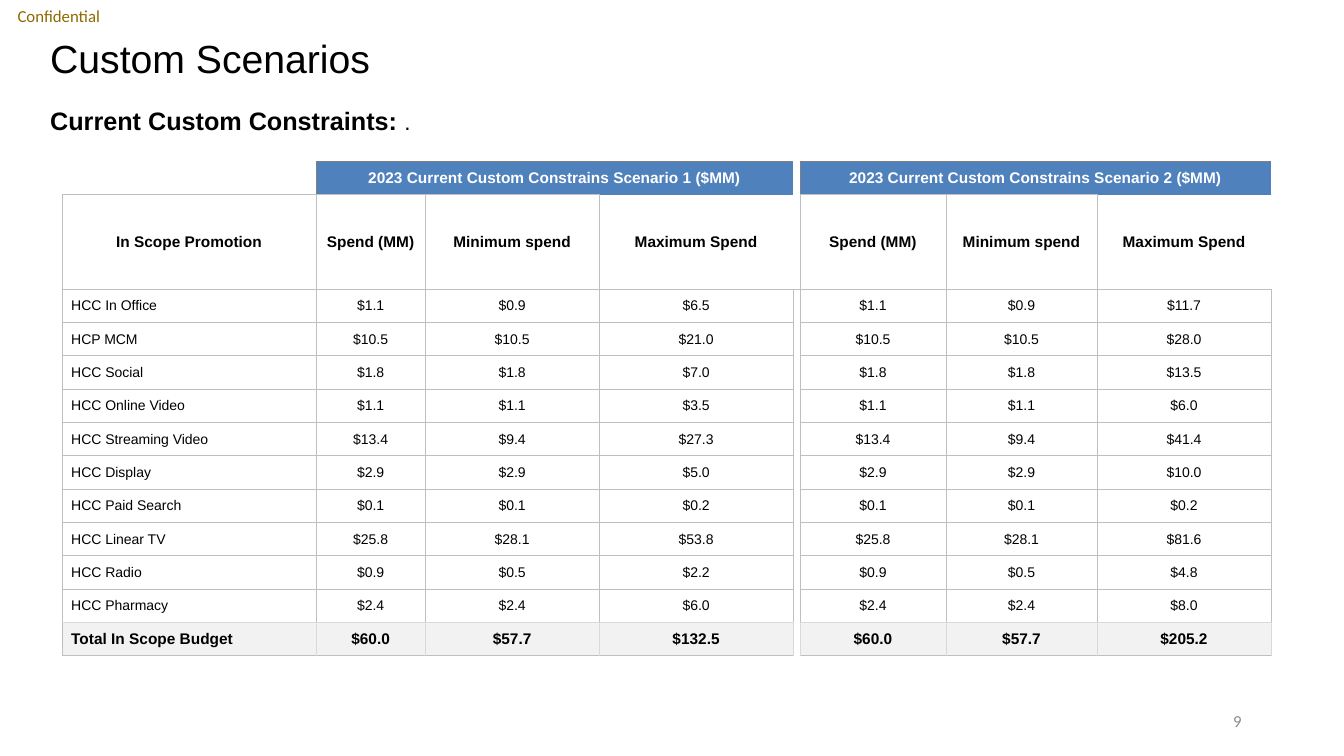
from dataclasses import dataclass

from lxml import etree
from pptx import Presentation
from pptx.dml.color import RGBColor
from pptx.enum.text import MSO_ANCHOR, PP_ALIGN
from pptx.oxml.ns import qn
from pptx.util import Pt

LEFT, CENTER, RIGHT = PP_ALIGN.LEFT, PP_ALIGN.CENTER, PP_ALIGN.RIGHT
TOP, MIDDLE = MSO_ANCHOR.TOP, MSO_ANCHOR.MIDDLE


@dataclass(frozen=True)
class Theme:
    body_font: str = "Arial"
    margin_font: str = "Calibri"
    ink: str = "000000"
    white: str = "FFFFFF"
    gold: str = "8E6A00"
    page_gray: str = "8C8C8C"
    banner: str = "4F81BD"
    total_fill: str = "F2F2F2"
    banner_line: str = "808080"
    grid_line: str = "BFBFBF"
    total_line: str = "D9D9D9"
    title_size: float = 28
    subtitle_size: float = 18
    stop_size: float = 16
    margin_size: float = 12
    header_size: float = 11
    value_size: float = 10
    line_width: float = 0.5


THEME = Theme()
COLUMN_WIDTHS = [181.4, 77.9, 124.3, 138.5, 5, 104.3, 107.9, 124.3]
ROW_HEIGHT, HEADER_HEIGHT = 23.8, 67.6
SPACER = 4
SCENARIO_STARTS = {1: 1, 5: 2}
MEASURES = ["Spend (MM)", "Minimum spend", "Maximum Spend"]
PROMOTIONS = [
    ("HCC In Office", (1.1, 0.9, 6.5), (1.1, 0.9, 11.7)),
    ("HCP MCM", (10.5, 10.5, 21.0), (10.5, 10.5, 28.0)),
    ("HCC Social", (1.8, 1.8, 7.0), (1.8, 1.8, 13.5)),
    ("HCC Online Video", (1.1, 1.1, 3.5), (1.1, 1.1, 6.0)),
    ("HCC Streaming Video", (13.4, 9.4, 27.3), (13.4, 9.4, 41.4)),
    ("HCC Display", (2.9, 2.9, 5.0), (2.9, 2.9, 10.0)),
    ("HCC Paid Search", (0.1, 0.1, 0.2), (0.1, 0.1, 0.2)),
    ("HCC Linear TV", (25.8, 28.1, 53.8), (25.8, 28.1, 81.6)),
    ("HCC Radio", (0.9, 0.5, 2.2), (0.9, 0.5, 4.8)),
    ("HCC Pharmacy", (2.4, 2.4, 6.0), (2.4, 2.4, 8.0)),
    ("Total In Scope Budget", (60.0, 57.7, 132.5), (60.0, 57.7, 205.2)),
]
TOTAL_ROW = len(PROMOTIONS) + 1


def table_rows():
    banner = [""] * len(COLUMN_WIDTHS)
    for start, number in SCENARIO_STARTS.items():
        banner[start] = f"2023 Current Custom Constrains Scenario {number} ($MM)"
    rows = [banner, ["In Scope Promotion", *MEASURES, "", *MEASURES]]
    for promotion, first, second in PROMOTIONS:
        rows.append([promotion, *(f"${spend:.1f}" for spend in first), "",
                     *(f"${spend:.1f}" for spend in second)])
    return rows


def cell_borders(row, column):
    banner, grid, total = THEME.banner_line, THEME.grid_line, THEME.total_line
    if row == 0:
        if column == 0:
            return {"R": banner, "B": grid}
        if column == SPACER:
            return {"R": banner}
        sides = {"T": banner, "B": grid}
        return {"L": banner, **sides} if column in SCENARIO_STARTS else sides
    if column == SPACER:
        if row == 1:
            return {"R": grid, "B": grid}
        side = total if row == TOTAL_ROW else grid
        sides = {"L": side, "R": side}
        return {**sides, "T": grid} if row == 2 else sides
    if row == 1 and column in (3, 7):
        return {"L": grid, "B": grid}
    if row == TOTAL_ROW:
        return {"L": total if column else grid, "R": total, "T": total, "B": grid}
    bottom = total if row == TOTAL_ROW - 1 else grid
    return {"L": grid, "R": grid, "T": grid, "B": bottom}


class SlideBuilder:
    def __init__(self, slide, theme):
        self.slide = slide
        self.theme = theme

    def style(self, run, size, color, bold=False, font=None):
        run.font.name = font or self.theme.body_font
        run.font.size = Pt(size)
        run.font.bold = bold
        run.font.color.rgb = RGBColor.from_string(color)

    def text(self, box, wording, size, color, bold=False, font=None,
             align=LEFT, anchor=MIDDLE, inset=None):
        frame = self.slide.shapes.add_textbox(*map(Pt, box)).text_frame
        frame.word_wrap = True
        frame.vertical_anchor = anchor
        if inset is not None:
            frame.margin_left = frame.margin_right = Pt(inset)
            frame.margin_top = frame.margin_bottom = Pt(inset)
        frame.text = wording
        paragraph = frame.paragraphs[0]
        paragraph.alignment = align
        self.style(paragraph.runs[0], size, color, bold, font)
        return paragraph

    def borders(self, cell, colors):
        properties = cell._tc.get_or_add_tcPr()
        for side in "LRTB":
            line = etree.SubElement(properties, qn(f"a:ln{side}"))
            line.set("w", str(Pt(self.theme.line_width)))
            if side in colors:
                fill = etree.SubElement(line, qn("a:solidFill"))
                etree.SubElement(fill, qn("a:srgbClr")).set("val", colors[side])
            else:
                etree.SubElement(line, qn("a:noFill"))

    def cell(self, cell, wording, row, column):
        theme = self.theme
        self.borders(cell, cell_borders(row, column))
        label = column == 0 and row > 1
        cell.vertical_anchor = MIDDLE
        cell.margin_left = Pt(6.5 if label else 0.5 if wording else 0)
        cell.margin_right = Pt(0.5 if wording else 0)
        cell.margin_top = Pt(0.5 if wording else 0)
        cell.margin_bottom = Pt(0)
        banner = row == 0 and column not in (0, SPACER)
        if banner or (row == TOTAL_ROW and column != SPACER):
            cell.fill.solid()
            color = theme.banner if banner else theme.total_fill
            cell.fill.fore_color.rgb = RGBColor.from_string(color)
        else:
            cell.fill.background()
        if wording:
            cell.text_frame.text = wording
            paragraph = cell.text_frame.paragraphs[0]
            paragraph.alignment = LEFT if label else CENTER
            strong = row < 2 or row == TOTAL_ROW
            self.style(paragraph.runs[0],
                       theme.header_size if strong else theme.value_size,
                       theme.white if banner else theme.ink, strong)

    def table(self, left, top, rows, widths, heights):
        table = self.slide.shapes.add_table(
            len(rows), len(widths), Pt(left), Pt(top),
            Pt(sum(widths)), Pt(sum(heights))).table
        table.first_row = table.horz_banding = False
        for column, width in zip(table.columns, widths):
            column.width = Pt(width)
        for table_row, height in zip(table.rows, heights):
            table_row.height = Pt(height)
        for row, wordings in enumerate(rows):
            for column, wording in enumerate(wordings):
                self.cell(table.cell(row, column), wording, row, column)
        for start in SCENARIO_STARTS:
            table.cell(0, start).merge(table.cell(0, start + 2))


def main():
    deck = Presentation()
    deck.slide_width, deck.slide_height = Pt(960), Pt(540)
    builder = SlideBuilder(deck.slides.add_slide(deck.slide_layouts[6]), THEME)

    builder.text((0, 0, 84, 23), "Confidential", THEME.margin_size, THEME.gold,
                 font=THEME.margin_font, align=CENTER, inset=0)
    title = builder.text((28.8, 28.8, 864, 28.8), "Custom Scenarios",
                         THEME.title_size, THEME.ink)
    title.line_spacing = 0.9
    builder.text((678, 500.4, 216, 28.8), "9", THEME.margin_size,
                 THEME.page_gray, font=THEME.margin_font, align=RIGHT)
    subtitle = builder.text((28.8, 72, 864, 28.8), "Current Custom Constraints: ",
                            THEME.subtitle_size, THEME.ink, bold=True, anchor=TOP)
    full_stop = subtitle.add_run()
    full_stop.text = "."
    builder.style(full_stop, THEME.stop_size, THEME.ink)

    rows = table_rows()
    heights = [ROW_HEIGHT, HEADER_HEIGHT] + [ROW_HEIGHT] * len(PROMOTIONS)
    builder.table(44.4, 115.2, rows, COLUMN_WIDTHS, heights)
    deck.save("out.pptx")


if __name__ == "__main__":
    main()
